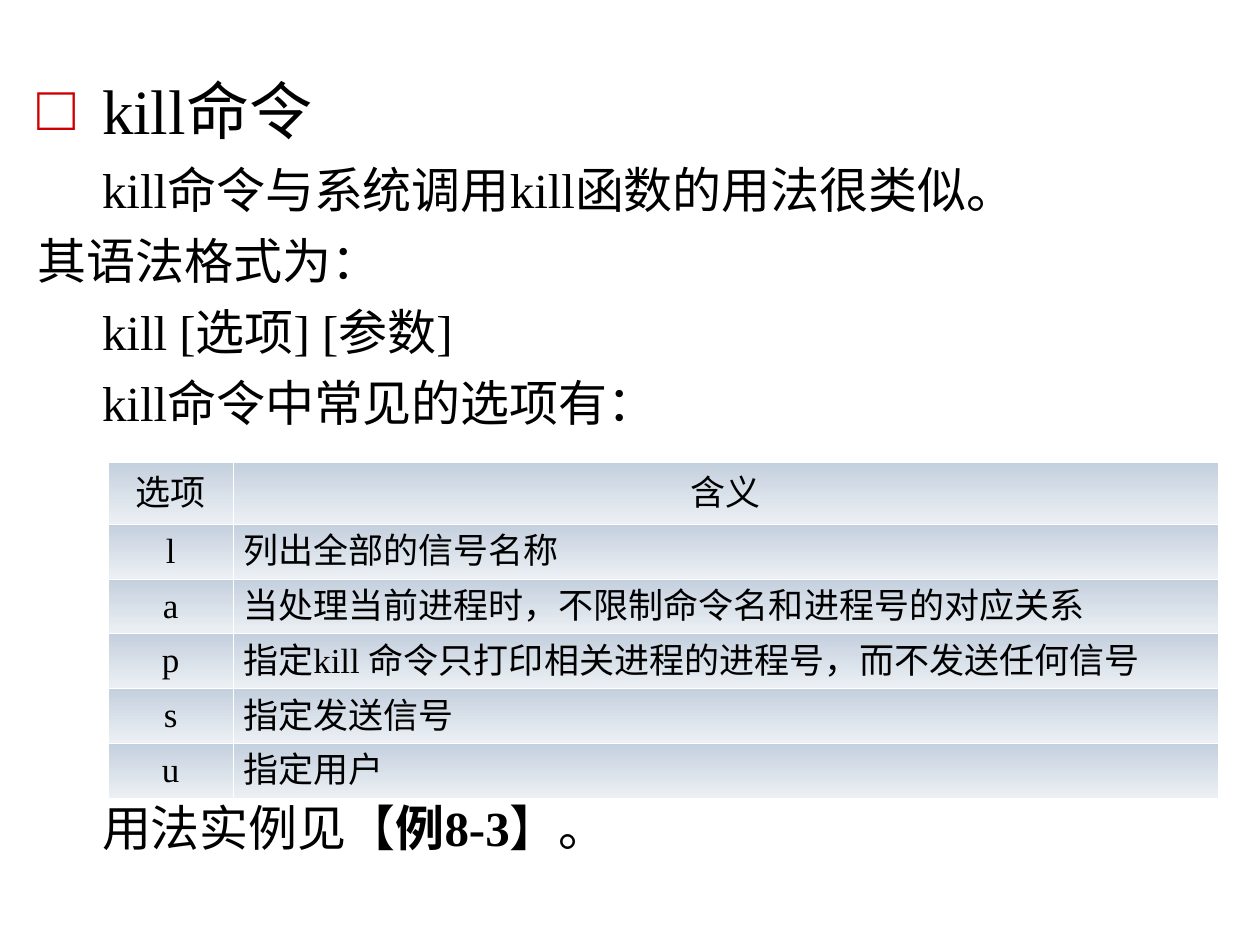
from dataclasses import dataclass

from lxml.etree import SubElement
from pptx import Presentation
from pptx.dml.color import RGBColor
from pptx.enum.text import MSO_ANCHOR, MSO_AUTO_SIZE, PP_ALIGN
from pptx.oxml import parse_xml
from pptx.oxml.ns import nsdecls, qn
from pptx.util import Inches, Pt


@dataclass(frozen=True)
class Theme:
    latin: str = "Times New Roman"
    asian: str = "DejaVu Sans"
    ink: str = "000000"
    mark: str = "CC0000"
    top: str = "C4D0DE"
    base: str = "ECF0F4"
    rule: str = "FFFFFF"
    head: int = 36
    text: int = 28
    cell: int = 20
    line: float = 0.45


COLS, ROWS = 40, 30
INDENT = 2.04

LINES = [
    ("kill命令与系统调用kill函数的用法很类似。", INDENT),
    ("其语法格式为：", 0),
    ("kill [选项] [参数]", INDENT),
    ("kill命令中常见的选项有：", INDENT),
]
OPTIONS = [
    ("选项", "含义"),
    ("l", "列出全部的信号名称"),
    ("a", "当处理当前进程时，不限制命令名和进程号的对应关系"),
    ("p", "指定kill 命令只打印相关进程的进程号，而不发送任何信号"),
    ("s", "指定发送信号"),
    ("u", "指定用户"),
]


def assign(item, values):
    for name, value in values.items():
        setattr(item, name, value)


class Page:
    def __init__(self, deck, theme):
        self.theme = theme
        self.unit = deck.slide_width / COLS, deck.slide_height / ROWS
        self.slide = deck.slides.add_slide(deck.slide_layouts[1])
        title = self.slide.shapes.title.element
        title.getparent().remove(title)

    def wide(self, cols):
        return int(cols * self.unit[0])

    def tall(self, rows):
        return int(rows * self.unit[1])

    def body(self, left, top, width, height):
        box = self.slide.placeholders[1]
        assign(box, {"left": self.wide(left), "top": self.tall(top),
                     "width": self.wide(width), "height": self.tall(height)})
        assign(box.text_frame, {
            "word_wrap": True, "auto_size": MSO_AUTO_SIZE.NONE,
            "vertical_anchor": MSO_ANCHOR.TOP,
            "margin_left": Inches(0.1), "margin_right": Inches(0.1),
            "margin_top": Inches(0.05), "margin_bottom": Inches(0.05)})
        return box.text_frame

    def run(self, para, text, size, bold=False):
        run = para.add_run()
        run.text = text
        assign(run.font, {"name": self.theme.latin, "size": Pt(size), "bold": bold})
        run.font.color.rgb = RGBColor.from_string(self.theme.ink)
        SubElement(run.font._element, qn("a:ea")).set("typeface", self.theme.asian)

    def para(self, para, parts, size, left, before, bullet=None):
        """Fill a paragraph with (text, bold) parts; a bullet hangs in its indent."""
        props = para._p.get_or_add_pPr()
        props.set("marL", str(self.wide(left)))
        props.set("indent", str(-self.wide(left) if bullet else 0))
        assign(para, {"space_before": Pt(before), "alignment": PP_ALIGN.LEFT})
        if bullet:
            color = SubElement(props, qn("a:buClr"))
            SubElement(color, qn("a:srgbClr")).set("val", self.theme.mark)
            SubElement(props, qn("a:buFont")).set("typeface", self.theme.latin)
            SubElement(props, qn("a:buChar")).set("char", bullet)
        else:
            SubElement(props, qn("a:buNone"))
        for text, bold in parts:
            self.run(para, text, size, bold)

    def cell(self, cell, text, align):
        assign(cell, {
            "vertical_anchor": MSO_ANCHOR.MIDDLE,
            "margin_left": Inches(0.08), "margin_right": Inches(0.08),
            "margin_top": Inches(0.05), "margin_bottom": Inches(0.05)})
        para = cell.text_frame.paragraphs[0]
        para.alignment = align
        self.run(para, text, self.theme.cell)
        cell.fill.gradient()
        cell.fill.gradient_angle = 270
        shades = self.theme.top, self.theme.base
        for stop, shade in zip(cell.fill.gradient_stops, shades):
            stop.color.rgb = RGBColor.from_string(shade)
        props = cell._tc.get_or_add_tcPr()
        for spot, side in enumerate(("lnL", "lnR", "lnT", "lnB")):
            props.insert(spot, parse_xml(
                f'<a:{side} {nsdecls("a")} w="{Pt(self.theme.line)}"><a:solidFill>'
                f'<a:srgbClr val="{self.theme.rule}"/></a:solidFill></a:{side}>'))

    def table(self, rows, left, top, widths, first, other):
        heights = [first] + [other] * (len(rows) - 1)
        table = self.slide.shapes.add_table(
            len(rows), len(widths), self.wide(left), self.tall(top),
            self.wide(sum(widths)), self.tall(sum(heights))).table
        assign(table, {"first_row": False, "horz_banding": False})
        for col, width in zip(table.columns, widths):
            col.width = self.wide(width)
        for r, (texts, height) in enumerate(zip(rows, heights)):
            table.rows[r].height = self.tall(height)
            for c, text in enumerate(texts):
                align = PP_ALIGN.JUSTIFY if r and c else PP_ALIGN.CENTER
                self.cell(table.cell(r, c), text, align)


def main():
    deck = Presentation()
    assign(deck, {"slide_width": Inches(10), "slide_height": Inches(7.5)})
    theme = Theme()
    page = Page(deck, theme)
    frame = page.body(0.8, 2.08, 39.68, 26.44)
    page.para(frame.paragraphs[0], [("kill命令", False)], theme.head, INDENT, 9, "□")
    for text, left in LINES:
        page.para(frame.add_paragraph(), [(text, False)], theme.text, left, 7)
    note = [("用法实例见【", False), ("例8-3", True), ("】。", False)]
    page.para(frame.add_paragraph(), note, theme.text, INDENT, 209)
    page.table(OPTIONS, 3.44, 14.68, (3.96, 31.28), 1.96, 1.74)
    deck.save("out.pptx")


if __name__ == "__main__":
    main()
